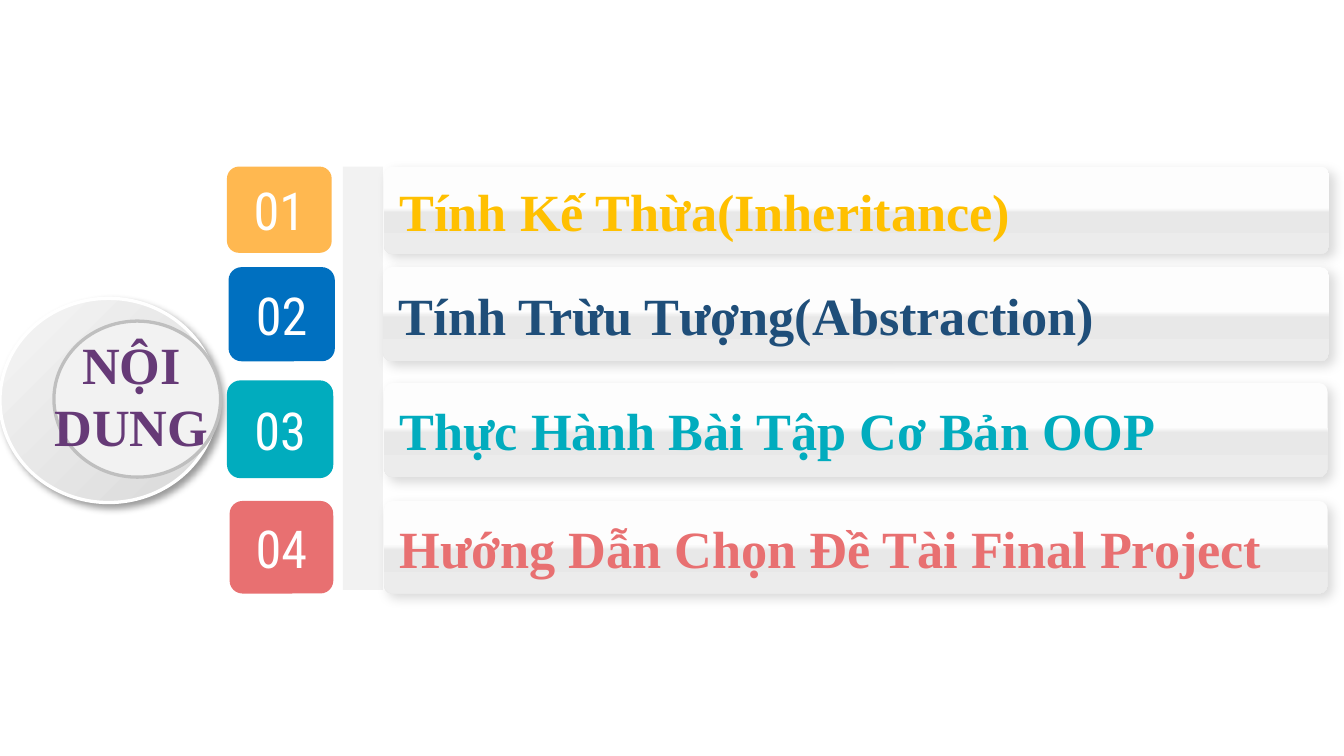
from lxml.etree import SubElement
from pptx import Presentation
from pptx.dml.color import RGBColor
from pptx.enum.shapes import MSO_SHAPE
from pptx.enum.text import MSO_ANCHOR, PP_ALIGN
from pptx.oxml import parse_xml
from pptx.oxml.ns import nsdecls, qn
from pptx.util import Cm, Pt

COLORS = {
    "white": "FFFFFF", "panel": "F2F2F2", "ring": "BFBFBF", "title": "663A77",
    "orange": "FFB850", "gold": "FFC000", "blue": "0070C0", "navy": "1F4E79",
    "teal": "01ACBE", "coral": "E87071",
}
DISC_STOPS = [(0, "F5F5F5"), (100, "D9D9D9")]
BAR_STOPS = [(47, "FDFDFD"), (53, "E8E8E8"), (100, "ECECEC")]
ROWS = [
    ("01", "Tính Kế Thừa(Inheritance)", "orange", "gold",
     (4.29, 3.15, 1.98, 1.63), (7.26, 3.15, 17.86, 1.65), None),
    ("02", "Tính Trừu Tượng(Abstraction)", "blue", "navy",
     (4.32, 5.05, 2.01, 1.78), (7.24, 5.05, 17.88, 1.78), None),
    ("03", "Thực Hành Bài Tập Cơ Bản OOP", "teal", "teal",
     (4.29, 7.19, 2.01, 1.85), (7.26, 7.24, 17.83, 1.78), (4.42, 7.21, 2.03, 1.98)),
    ("04", "Hướng Dẫn Chọn Đề Tài Final Project", "coral", "coral",
     (4.34, 9.47, 1.96, 1.75), (7.26, 9.47, 17.83, 1.75), (4.29, 9.45, 1.98, 1.88)),
]


class Deck:
    serif = "Times New Roman"
    condensed = "Roboto Condensed"
    size = Pt(28)

    def __init__(self, width, height):
        self.prs = Presentation()
        self.prs.slide_width, self.prs.slide_height = Cm(width), Cm(height)
        self.s = self.prs.slides.add_slide(self.prs.slide_layouts[6])

    def color(self, name):
        return RGBColor.from_string(COLORS[name])

    def shape(self, kind, box, fill="white", line=None, radius=None):
        sp = self.s.shapes.add_shape(kind, *map(Cm, box))
        sp.shadow.inherit = False
        sp.fill.solid()
        sp.fill.fore_color.rgb = self.color(fill)
        if line:
            sp.line.color.rgb = self.color(line)
            sp.line.width = Pt(1.75)
        else:
            sp.line.fill.background()
        if radius is not None:
            sp.adjustments[0] = radius
        return sp

    def gradient(self, sp, stops, angle):
        gs = "".join(f'<a:gs pos="{pos * 1000}"><a:srgbClr val="{rgb}"/></a:gs>'
                     for pos, rgb in stops)
        fill = parse_xml(f'<a:gradFill {nsdecls("a")} rotWithShape="1"><a:gsLst>{gs}</a:gsLst>'
                         f'<a:lin ang="{angle * 60000}" scaled="0"/></a:gradFill>')
        spPr = sp.element.spPr
        spPr.replace(spPr.find(qn("a:solidFill")), fill)

    def shadow(self, sp, alpha, blur):
        effects = sp.element.spPr.find(qn("a:effectLst"))
        outer = SubElement(effects, qn("a:outerShdw"), blurRad=str(Pt(blur)), dist=str(Pt(3)),
                           dir=str(45 * 60000), algn="tl", rotWithShape="0")
        rgb = SubElement(outer, qn("a:srgbClr"), val="000000")
        SubElement(rgb, qn("a:alpha"), val=str(alpha * 1000))

    def text(self, sp, text, color, font, bold=False, align=PP_ALIGN.CENTER,
             anchor=MSO_ANCHOR.MIDDLE):
        tf = sp.text_frame
        tf.word_wrap = True
        tf.vertical_anchor = anchor
        p = tf.paragraphs[0]
        p.alignment = align
        r = p.add_run()
        r.text = text
        r.font.name, r.font.size, r.font.bold = font, self.size, bold
        r.font.color.rgb = self.color(color)

    def medallion(self, title):
        disc = self.shape(MSO_SHAPE.OVAL, (0, 5.64, 4.11, 3.86), line="white")
        self.gradient(disc, DISC_STOPS, 45)
        self.shadow(disc, 40, 4)
        self.shape(MSO_SHAPE.OVAL, (1.02, 6.07, 3.15, 2.95), "panel", "ring")
        tb = self.s.shapes.add_textbox(*map(Cm, (0.43, 6.15, 4.11, 2.62)))
        self.text(tb, title, "title", self.serif, True, anchor=MSO_ANCHOR.TOP)

    def badge(self, box, number, fill):
        sp = self.shape(MSO_SHAPE.ROUNDED_RECTANGLE, box, fill, radius=0.139)
        if number:
            self.text(sp, number, "white", self.condensed)

    def bar(self, box, title, color):
        sp = self.shape(MSO_SHAPE.ROUNDED_RECTANGLE, box, radius=0.092)
        self.gradient(sp, BAR_STOPS, 90)
        self.shadow(sp, 14, 6)
        self.text(sp, title, color, self.serif, True, PP_ALIGN.LEFT)


def main():
    deck = Deck(25.4, 14.29)
    deck.medallion("NỘI DUNG")
    deck.shape(MSO_SHAPE.RECTANGLE, (6.48, 3.15, 0.76, 8), "panel")
    for number, title, fill, ink, badge_box, bar_box, plate_box in ROWS:
        if plate_box:
            deck.badge(plate_box, None, "white")
        deck.badge(badge_box, number, fill)
        deck.bar(bar_box, title, ink)
    deck.prs.save("out.pptx")


if __name__ == "__main__":
    main()
